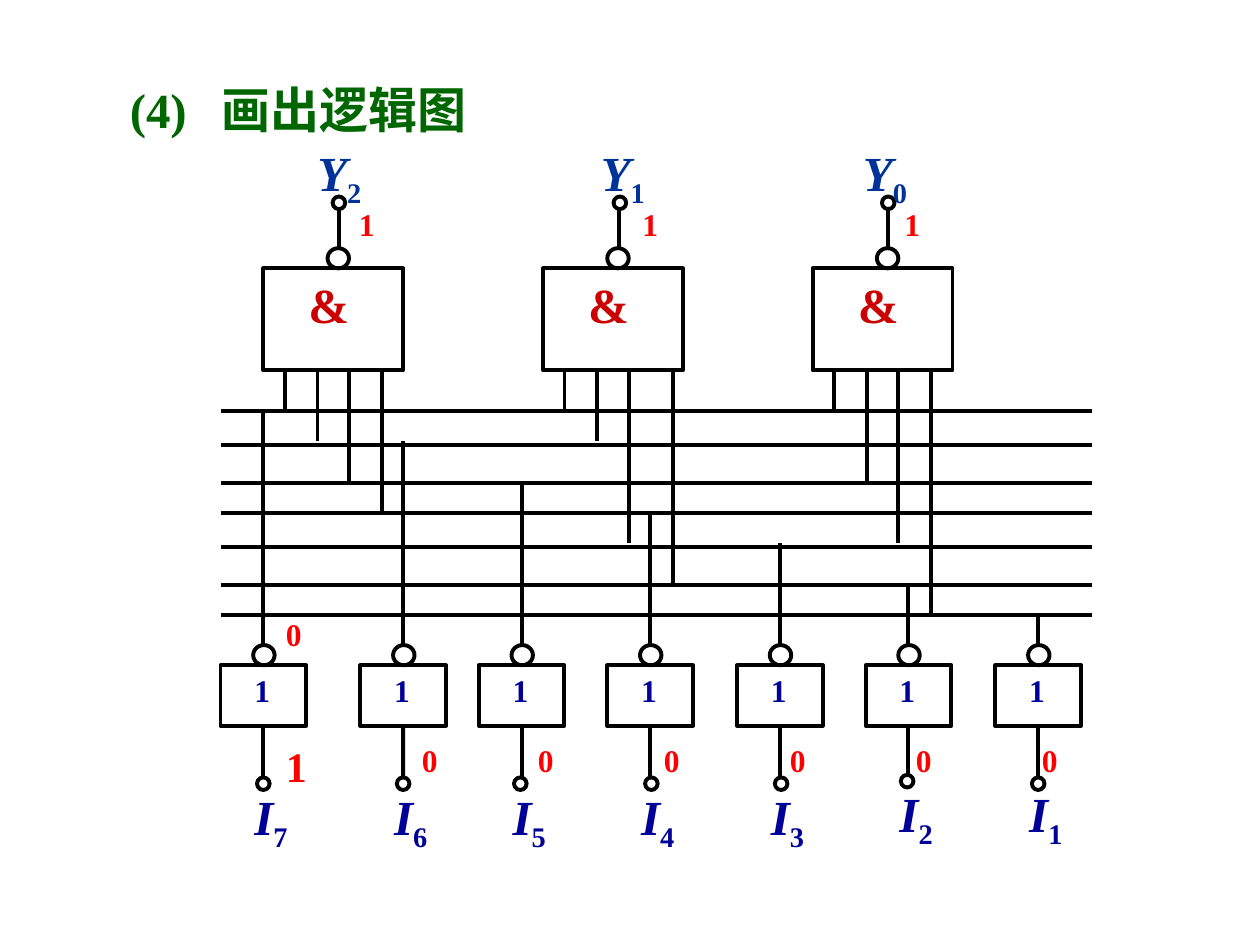
from dataclasses import dataclass

import pptx
import pptx.dml.color
import pptx.enum.shapes
import pptx.enum.text
import pptx.oxml.ns
import pptx.util
from lxml import etree
from pptx.util import Inches

FONT = "Times New Roman"
INK = {"line": "000000", "title": "006600", "bit": "FF0000", "in": "000099",
       "out": "003399", "and": "CC0000"}
SHAPE = pptx.enum.shapes.MSO_SHAPE
FIT = pptx.enum.text.MSO_AUTO_SIZE.SHAPE_TO_FIT_TEXT

BUS = (3.26, 3.53, 3.83, 4.07, 4.34, 4.64, 4.88)
ENDS = (3.26, 3.5, 3.83, 4.07, 4.31, 4.64, 4.88)  # wire ends on each bus
BUS_LEFT, BUS_RIGHT = 1.75, 8.67
GATE_TOP, GATE_W, GATE_H = 2.13, 1.11, 0.81
INV_TOP, INV_W, INV_H = 5.28, 0.68, 0.48
BALL_W, BALL_H, PIN = 0.17, 0.16, 0.1


@dataclass
class Gate:
    sub: str
    left: float
    pin: float
    name: float
    rows: tuple
    taps: tuple = (0.17, 0.43, 0.68, 0.94)
    width: float = 0.57
    wrap: bool = False


@dataclass
class Inverter:
    sub: str
    left: float
    pin: float
    bit: float
    rise: float = 0
    lift: float = 0


GATES = (
    Gate("2", 2.09, 2.64, 2.42, (0, 1, 2, 3)),
    Gate("1", 4.31, 4.87, 4.67, (0, 1, 4, 5), (0.17, 0.43, 0.68, 1.03),
         0.76, True),
    Gate("0", 6.45, 7, 6.75, (0, 2, 4, 6)),
)
INVERTERS = (
    Inverter("7", 1.75, 2.04, 2.17),
    Inverter("6", 2.86, 3.15, 3.25),
    Inverter("5", 3.8, 4.08, 4.17),
    Inverter("4", 4.82, 5.12, 5.17),
    Inverter("3", 5.85, 6.15, 6.17),
    Inverter("2", 6.87, 7.15, 7.17, 0.02, 0.02),
    Inverter("1", 7.9, 8.19, 8.17, 0.02),
)


def paint(run, size: float, ink: str) -> None:
    font = run.font
    font.name, font.size, font.bold = FONT, pptx.util.Pt(size), True
    font.color.rgb = pptx.dml.color.RGBColor.from_string(INK[ink])


def stroke(item) -> None:
    item.line.color.rgb = pptx.dml.color.RGBColor.from_string(INK["line"])
    item.line.width = pptx.util.Pt(2.25)


def label(slide, text: str, x: float, y: float, w: float, h: float,
          size: float, ink: str, wrap: bool = False, sub: str = "") -> None:
    """Add a text box; with sub, the text is italic and sub is lowered."""
    box = slide.shapes.add_textbox(Inches(x), Inches(y), Inches(w), Inches(h))
    box.text_frame.word_wrap = wrap
    box.text_frame.auto_size = FIT
    para = box.text_frame.paragraphs[0]
    para.text = text
    paint(para.runs[0], size, ink)
    if sub:
        para.runs[0].font.italic = True
        low = para.add_run()
        low.text = sub
        paint(low, size, ink)
        low._r.get_or_add_rPr().set("baseline", "-25000")


def shape(slide, kind, x: float, y: float, w: float, h: float):
    item = slide.shapes.add_shape(kind, Inches(x), Inches(y),
                                  Inches(w), Inches(h))
    item.shadow.inherit = False
    item.fill.background()
    stroke(item)
    return item


def wire(slide, x1: float, y1: float, x2: float, y2: float):
    item = slide.shapes.add_connector(
        pptx.enum.shapes.MSO_CONNECTOR.STRAIGHT,
        Inches(x1), Inches(y1), Inches(x2), Inches(y2))
    stroke(item)
    etree.SubElement(item._element.spPr, pptx.oxml.ns.qn("a:effectLst"))
    return item


def ball(slide, x: float, top: float) -> None:
    """Draw the negation circle that sits on a box."""
    shape(slide, SHAPE.OVAL, x, top - BALL_H, BALL_W, BALL_H)


def pin(slide, x: float, y: float) -> None:
    shape(slide, SHAPE.OVAL, x, y, PIN, PIN)


def draw_gate(slide, gate: Gate) -> None:
    left, stem = gate.left, gate.left + 0.6
    shape(slide, SHAPE.RECTANGLE, left, GATE_TOP, GATE_W, GATE_H)
    label(slide, "&", left + 0.26, GATE_TOP, 0.6, 0.57, 28, "and", True)
    ball(slide, left + 0.51, GATE_TOP)
    wire(slide, stem, GATE_TOP - BALL_H, stem, 1.64)
    pin(slide, gate.pin, 1.56)
    label(slide, "Y", gate.name, 1.08, gate.width, 0.57, 28, "out",
          gate.wrap, gate.sub)
    label(slide, "1", gate.name + 0.33, 1.58, 0.37, 0.5, 18, "bit")
    for tap, row in zip(gate.taps, gate.rows):
        wire(slide, left + tap, GATE_TOP + GATE_H, left + tap, ENDS[row])


def draw_inverter(slide, inv: Inverter, end: float) -> None:
    mid = inv.left + INV_W / 2
    box = shape(slide, SHAPE.RECTANGLE, inv.left, INV_TOP, INV_W, INV_H)
    label(slide, "1", inv.left + 0.17, INV_TOP, 0.37, 0.5, 18, "in")
    ball(slide, inv.left + 0.26, INV_TOP)
    wire(slide, mid, INV_TOP - BALL_H, mid, end)
    lead = wire(slide, mid, INV_TOP + INV_H, mid, 6.17)
    lead.begin_connect(box, 2)
    pin(slide, inv.pin, 6.17 - inv.lift)
    label(slide, "I", inv.left + 0.17, 6.19 - inv.rise, 0.48, 0.57, 28, "in",
          sub=inv.sub)
    if inv.sub == "7":
        label(slide, "1", inv.bit, 5.83, 0.33, 0.5, 24, "bit", True)
        label(slide, "0", inv.bit, 4.83, 0.37, 0.5, 18, "bit")
    else:
        label(slide, "0", inv.bit, 5.83, 0.37, 0.5, 18, "bit")


def draw_title(slide) -> None:
    title = slide.shapes.title
    title.left, title.top = Inches(0.93), Inches(0.58)
    title.width, title.height = Inches(4.48), Inches(0.57)
    frame = title.text_frame
    frame.word_wrap, frame.auto_size = True, FIT
    frame.vertical_anchor = pptx.enum.text.MSO_ANCHOR.TOP
    para = frame.paragraphs[0]
    para.text = "(4)\t画出逻辑图"
    para.alignment = pptx.enum.text.PP_ALIGN.LEFT
    tabs = etree.SubElement(para._p.get_or_add_pPr(),
                            pptx.oxml.ns.qn("a:tabLst"))
    etree.SubElement(tabs, pptx.oxml.ns.qn("a:tab"),
                     pos=str(Inches(0.73)), algn="l")
    for run in para.runs:
        paint(run, 28, "title")


def main() -> None:
    deck = pptx.Presentation()
    deck.slide_width, deck.slide_height = Inches(10), Inches(7.5)
    slide = deck.slides.add_slide(deck.slide_layouts[5])
    draw_title(slide)
    for y in BUS:
        wire(slide, BUS_LEFT, y, BUS_RIGHT, y)
    for gate in GATES:
        draw_gate(slide, gate)
    for inv, end in zip(INVERTERS, ENDS):
        draw_inverter(slide, inv, end)
    deck.save("out.pptx")


if __name__ == "__main__":
    main()
